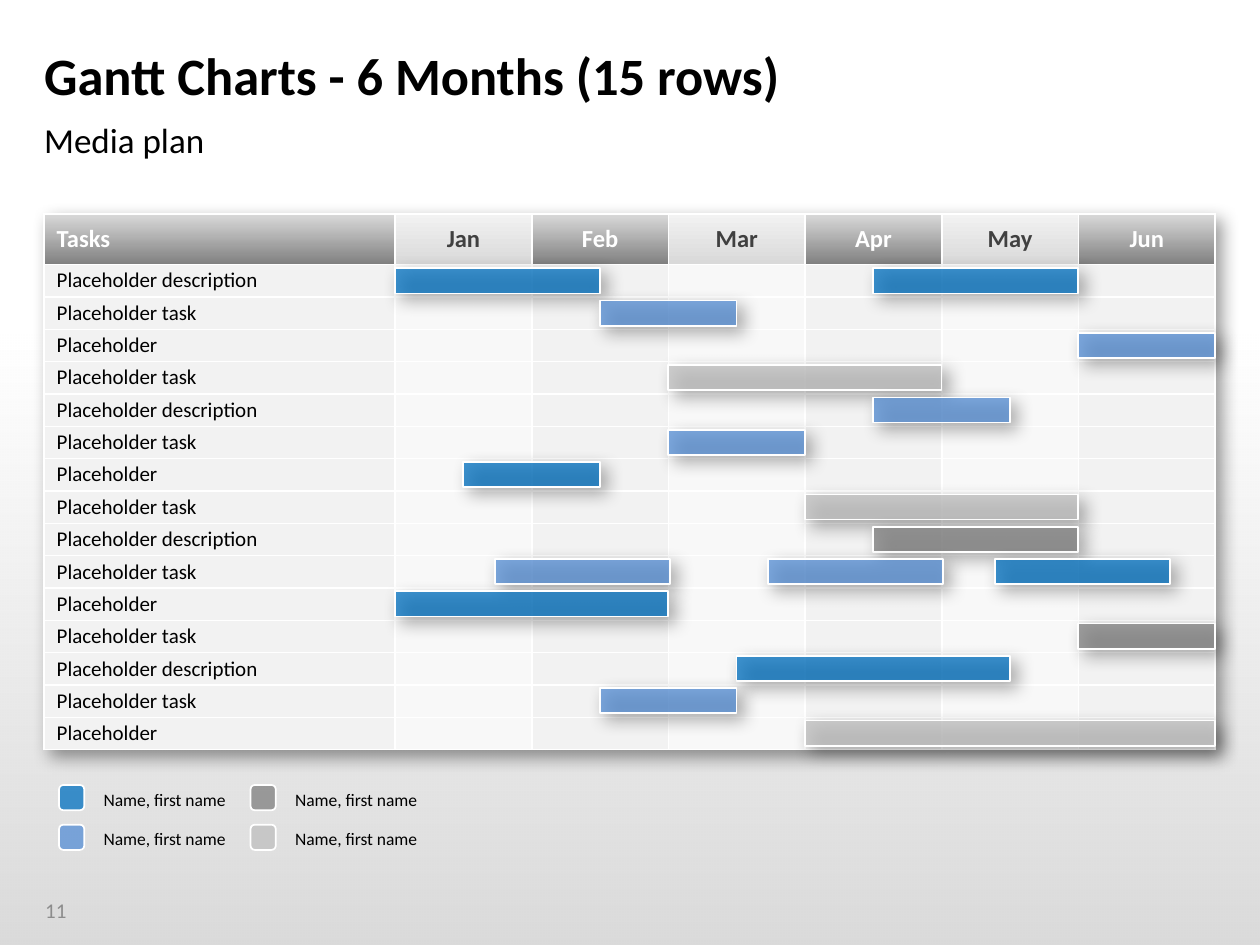
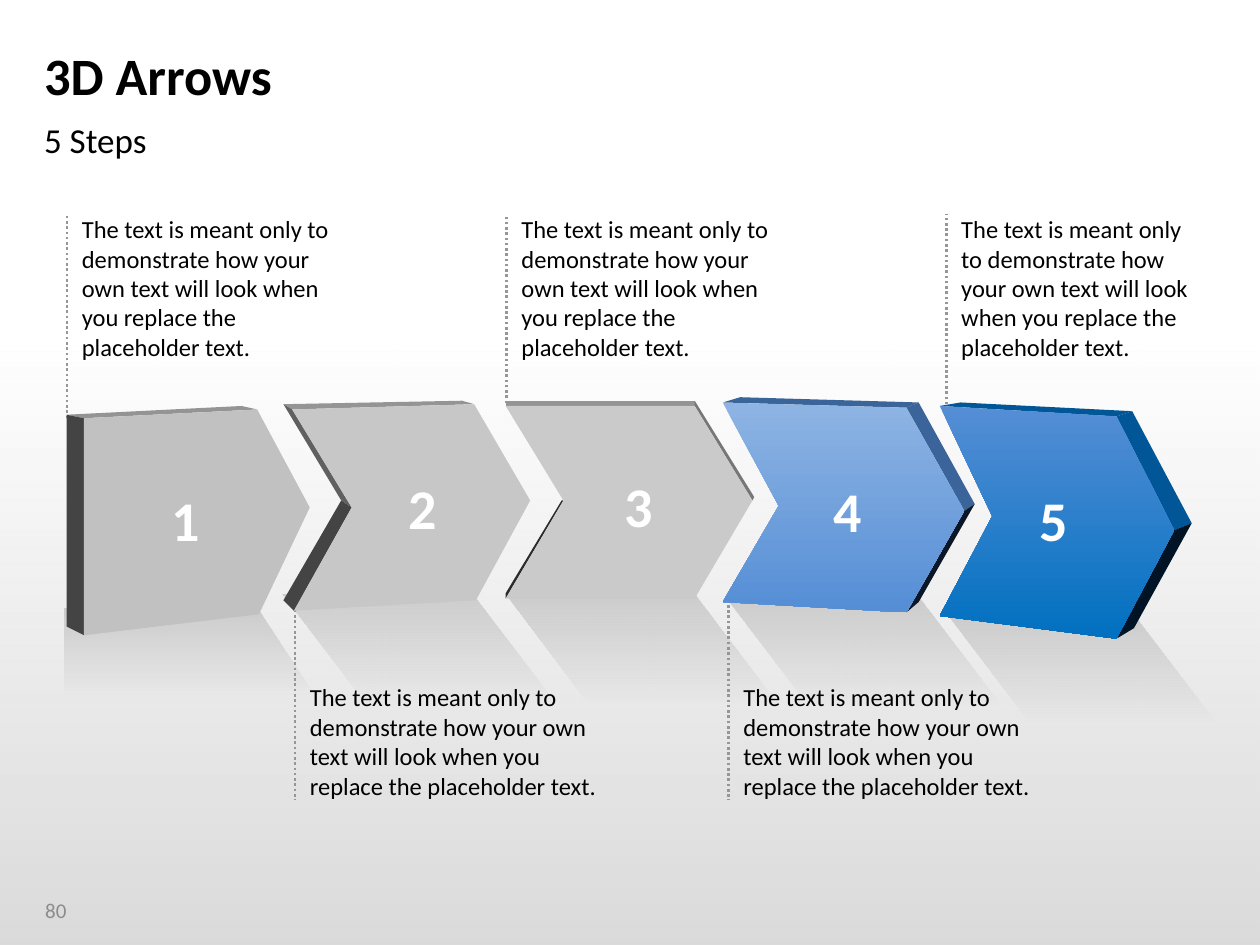
from lxml.etree import SubElement
from pptx import Presentation
from pptx.dml.color import RGBColor
from pptx.enum.dml import MSO_LINE
from pptx.enum.shapes import MSO_CONNECTOR, MSO_SHAPE
from pptx.enum.text import MSO_ANCHOR, MSO_AUTO_SIZE, PP_ALIGN
from pptx.oxml import parse_xml
from pptx.oxml.ns import nsdecls, qn
from pptx.util import Pt

C = {
    "black": "000000", "white": "FFFFFF", "number": "8C8C8C", "dots": "969696",
    "blue": "0070C0", "light": "558ED5", "pale": "8EB4E3", "gray": "808080", "silver": "BFBFBF",
    "head": "D9D9D9", "head_light": "F2F2F2", "head_text": "404040",
    "cell": "F2F2F2", "cell_light": "F8F8F8",
    "face1": "C1C1C1", "face2": "C7C7C7", "face3": "CACACA",
    "top": "949494", "side": "606060", "dark": "444444", "edge": "777777", "deep": "2C2C2C",
    "light_side": "3B659A", "light_deep": "0B1626", "blue_side": "005696", "blue_deep": "001426",
}
FONT = "Calibri"
SHADOW = (f'<a:outerShdw {nsdecls("a")} blurRad="127000" dist="63500" dir="2700000" algn="tl" '
          'rotWithShape="0"><a:srgbClr val="000000"><a:alpha val="40000"/></a:srgbClr></a:outerShdw>')


def paint(target, colors, alphas=(), angle=270):
    fill = target.fill
    if len(colors) == 1:
        fill.solid()
        fill.fore_color.rgb = RGBColor.from_string(C[colors[0]])
    else:
        fill.gradient()
        fill.gradient_angle = angle
        for stop, position, color in zip(fill.gradient_stops, (0, 1), colors):
            stop.position = position
            stop.color.rgb = RGBColor.from_string(C[color])
    if hasattr(target, "shadow"):
        target.shadow.inherit = False
        target.line.fill.background()
        for clr, alpha in zip(target._element.spPr.iter(qn("a:srgbClr")), alphas):
            SubElement(clr, qn("a:alpha")).set("val", str(alpha * 1000))


def write(box, text, size, color, ins=(0, 0, 0, 0), anchor=MSO_ANCHOR.TOP,
          align=PP_ALIGN.LEFT, bold=False):
    box.margin_left, box.margin_top, box.margin_right, box.margin_bottom = map(Pt, ins)
    box.vertical_anchor = anchor
    p = getattr(box, "text_frame", box).paragraphs[0]
    p.alignment = align
    for i, line in enumerate(text.split("\n")):
        if i:
            p.add_line_break()
        r = p.add_run()
        r.text = line
        r.font.name, r.font.size, r.font.bold = FONT, Pt(size), bold
        r.font.color.rgb = RGBColor.from_string(C[color])


prs = Presentation()
prs.slide_width, prs.slide_height = Pt(720), Pt(540)

slides = []
for title, subtitle, number in [("Gantt Charts - 6 Months (15 rows)", "Media plan", "11"),
                                ("3D Arrows", "5 Steps", "80")]:
    s = prs.slides.add_slide(prs.slide_layouts[1])
    slides.append(s)
    head, body = s.shapes.title, s.placeholders[1]
    head.left, head.top, head.width, head.height = Pt(25.2), Pt(18.7), Pt(669), Pt(48.2)
    body.left, body.top, body.width, body.height = Pt(25.2), Pt(67.7), Pt(669), Pt(26.6)
    write(head.text_frame, title, 30, "black", (0, 3.6, 7.2, 3.6), MSO_ANCHOR.MIDDLE, bold=True)
    write(body.text_frame, subtitle, 20, "black")
    head.text_frame.auto_size = body.text_frame.auto_size = MSO_AUTO_SIZE.NONE
    p = body.text_frame.paragraphs[0]
    p.space_before = Pt(0)
    pPr = p._p.get_or_add_pPr()
    pPr.set("marL", "0")
    pPr.set("indent", "0")
    SubElement(pPr, qn("a:buNone"))
    num = s.shapes.add_textbox(Pt(18.7), Pt(505.5), Pt(46), Pt(28.8))
    write(num.text_frame, number, 12, "number", (7.2, 3.6, 7.2, 3.6), MSO_ANCHOR.MIDDLE)

band = slides[0].shapes.add_shape(MSO_SHAPE.RECTANGLE, Pt(0), Pt(186.5), Pt(720), Pt(353.5))
paint(band, ["black", "black"], [0, 15])
prs.slide_master.shapes._spTree.insert(2, band._element)

s = slides[0]
months = ["Jan", "Feb", "Mar", "Apr", "May", "Jun"]
kinds = {"d": "Placeholder description", "t": "Placeholder task", "p": "Placeholder"}
tasks = [kinds[k] for k in "dtptdtptdtptdtp"]
MONTH = 78.1
table = s.shapes.add_table(len(tasks) + 1, 7, Pt(25.2), Pt(122.4), Pt(669), Pt(306.3)).table
table.first_row = table.horz_banding = False
effects = parse_xml(f'<a:effectLst {nsdecls("a")}/>')
effects.append(parse_xml(SHADOW))
table._tbl.tblPr.insert(0, effects)
for i, col in enumerate(table.columns):
    col.width = Pt(MONTH if i else 200.6)
for i, row in enumerate(table.rows):
    row.height = Pt(18.5 if i else 28.8)
    for j, cell in enumerate(row.cells):
        odd = j % 2
        if i == 0:
            paint(cell, ["head_light", "head"] if odd else ["head", "gray"])
            write(cell, months[j - 1] if j else "Tasks", 14, "head_text" if odd else "white",
                  (0 if j else 7.2, 3.6, 0, 3.6), MSO_ANCHOR.MIDDLE,
                  PP_ALIGN.CENTER if j else PP_ALIGN.LEFT, True)
        else:
            paint(cell, ["cell_light" if odd else "cell"])
            if j == 0:
                write(cell, tasks[i - 1], 12, "black", (7.2, 1.4, 1.4, 1.4), MSO_ANCHOR.MIDDLE)
            else:
                cell.margin_top = cell.margin_bottom = 0
                SubElement(cell.text_frame.paragraphs[0]._p, qn("a:endParaRPr")).set("sz", "1000")
        for k, side in enumerate(["lnL", "lnR", "lnT", "lnB"]):
            cell._tc.get_or_add_tcPr().insert(k, parse_xml(
                f'<a:{side} {nsdecls("a")} w="12700"><a:solidFill><a:srgbClr val="{C["white"]}"/>'
                f'</a:solidFill></a:{side}>'))

bars = [
    (0, 0, 1.5, "blue"), (0, 3.5, 1.5, "blue"), (1, 1.5, 1, "light"), (2, 5, 1, "light"),
    (3, 2, 2, "silver"), (4, 3.5, 1, "light"), (5, 2, 1, "light"), (6, 0.5, 1, "blue"),
    (7, 3, 2, "silver"), (8, 3.5, 1.5, "gray"), (9, 0.73, 1.28, "light"),
    (9, 2.73, 1.28, "light"), (9, 4.39, 1.28, "blue"), (10, 0, 2, "blue"), (11, 5, 1, "gray"),
    (12, 2.5, 2, "blue"), (13, 1.5, 1, "light"), (14, 3, 3, "silver"),
]
for row, start, length, color in bars:
    sp = s.shapes.add_shape(MSO_SHAPE.RECTANGLE, Pt(225.7 + start * MONTH), Pt(153.3 + row * 18.46),
                            Pt(length * MONTH), Pt(14.4))
    paint(sp, [color], [75])
    sp.line.color.rgb, sp.line.width = RGBColor.from_string(C["white"]), Pt(1)
    sp._element.spPr.find(qn("a:effectLst")).append(parse_xml(SHADOW))

for i, color in enumerate(["blue", "light", "gray", "silver"]):
    x, y = 33.8 + i // 2 * 109.4, 448.6 + i % 2 * 22.7
    sp = s.shapes.add_shape(MSO_SHAPE.ROUNDED_RECTANGLE, Pt(x), Pt(y), Pt(14.4), Pt(14.4))
    paint(sp, [color], [75])
    sp.line.color.rgb, sp.line.width = RGBColor.from_string(C["white"]), Pt(1)
    label = s.shapes.add_textbox(Pt(x + 25.4), Pt(y + 2), Pt(73), Pt(12.2))
    write(label.text_frame, "Name, first name", 10, "black")

s = slides[1]
TEXT = ("The text is meant only to demonstrate how your own text will look "
        "when you replace the placeholder text.")
BROKEN = TEXT.replace("only to", "only \nto").replace("how your", "how \nyour")

shades = [(161.3, 339.8, 156.2), (289.4, 340.6, 155.5), (415.4, 342, 157.7), (540.7, 350.6, 154.1)]
fb = s.shapes.build_freeform(37.4, 348.5, scale=Pt(1))
fb.add_line_segments([(146.9, 348.5), (180, 398.2), (37.4, 397.4)])
paint(fb.convert_to_shape(), ["black", "black"], [15, 0])
for x, y, w in shades:
    sp = s.shapes.add_shape(MSO_SHAPE.PARALLELOGRAM, Pt(x), Pt(y), Pt(w), Pt(61.9))
    sp.adjustments[0] = 0.764
    sp._element.spPr.find(qn("a:xfrm")).set("flipV", "1")
    paint(sp, ["black", "black"], [15, 0], 90)

notes = [(38.2, 122.4, 239, TEXT), (168.5, 457.2, 348.5, TEXT), (289.4, 122.4, 230.4, TEXT),
         (416.2, 457.2, 342.7, TEXT), (540.7, 122.4, 231.1, BROKEN)]
for x, start, end, text in notes:
    line = s.shapes.add_connector(MSO_CONNECTOR.STRAIGHT, Pt(x), Pt(end), Pt(x), Pt(start))
    line.line.color.rgb, line.line.width = RGBColor.from_string(C["dots"]), Pt(1.5)
    line.line.dash_style = MSO_LINE.ROUND_DOT
    SubElement(line._element.spPr, qn("a:effectLst"))
    above = start < end
    tb = s.shapes.add_textbox(Pt(x), Pt(start if above else 359.3), Pt(154.1 if above else 185),
                              Pt(59 if above else 97.9))
    tb.text_frame.word_wrap = True
    write(tb.text_frame, text, 14, "black", (8.6, 0, 0, 0),
          MSO_ANCHOR.TOP if above else MSO_ANCHOR.BOTTOM)

arrows = [
    (["face1"], (0, 0, 12.6, 4),
     [(48, 238.9), (147.4, 234.3), (176.6, 290.3), (148, 350.9), (48, 362.9)],
     [("top", [(38.3, 236.6), (137.7, 232), (147.4, 234.3), (48, 238.9)]),
      ("dark", [(38.3, 236.6), (48, 238.9), (48, 362.9), (38.3, 357.7)])]),
    (["face2"], (12.6, 0, 0, 0),
     [(167.4, 234.3), (271.4, 231.4), (302.9, 286.3), (272, 343.4), (168, 349.1), (200.6, 290.3)],
     [("top", [(161.7, 231.4), (264, 229.1), (271.4, 231.4), (167.4, 234.3)]),
      ("side", [(161.7, 231.4), (167.4, 234.3), (200.6, 290.3), (194.9, 286.3)]),
      ("dark", [(194.9, 286.3), (200.6, 290.3), (168, 349.1), (161.7, 343.4)])]),
    (["face3"], (11.4, 3, 0, 0),
     [(289.1, 232), (397.1, 232), (430.3, 286.3), (397.1, 342.3), (289.1, 342.3), (322.3, 286.3)],
     [("top", [(289.1, 229.1), (397.1, 229.1), (397.1, 232), (289.1, 232)]),
      ("edge", [(397.1, 229.1), (430.9, 284), (430.3, 286.3), (397.1, 232)]),
      ("deep", [(289.1, 338.9), (321.1, 285.7), (322.3, 286.3), (289.1, 342.3)])]),
    (["pale", "light"], (4.6, 3, 0, 0),
     [(413.1, 230.3), (517.7, 232.6), (551.4, 292), (518.3, 349.7), (413.1, 344), (445.1, 288.6)],
     [("light_side", [(413.1, 230.3), (422.9, 227.4), (524.6, 229.7), (517.7, 232.6)]),
      ("light_side", [(517.7, 232.6), (524.6, 229.7), (557.1, 288), (551.4, 292)]),
      ("light_deep", [(551.4, 292), (557.1, 288), (525.1, 344), (518.3, 349.7)])]),
    (["light", "blue"], (0, 0, 3.4, 4),
     [(536.6, 232), (637.7, 237.7), (671.4, 303.4), (637.7, 364.6), (536.6, 352), (566.9, 294.9)],
     [("blue_side", [(536.6, 232), (548.6, 229.7), (647.4, 234.9), (637.7, 237.7)]),
      ("blue_side", [(637.7, 237.7), (647.4, 234.9), (680.6, 299.4), (671.4, 303.4)]),
      ("blue_deep", [(671.4, 303.4), (680.6, 299.4), (648, 358.9), (637.7, 364.6)])]),
]
for step, (colors, ins, front, sides) in enumerate(arrows, 1):
    for face_colors, points in [([c], pts) for c, pts in sides] + [(colors, front)]:
        fb = s.shapes.build_freeform(*points[0], scale=Pt(1))
        fb.add_line_segments(points[1:])
        sp = fb.convert_to_shape()
        paint(sp, face_colors)
    write(sp.text_frame, str(step), 32, "white", ins, MSO_ANCHOR.MIDDLE, PP_ALIGN.CENTER, True)

prs.save("out.pptx")
